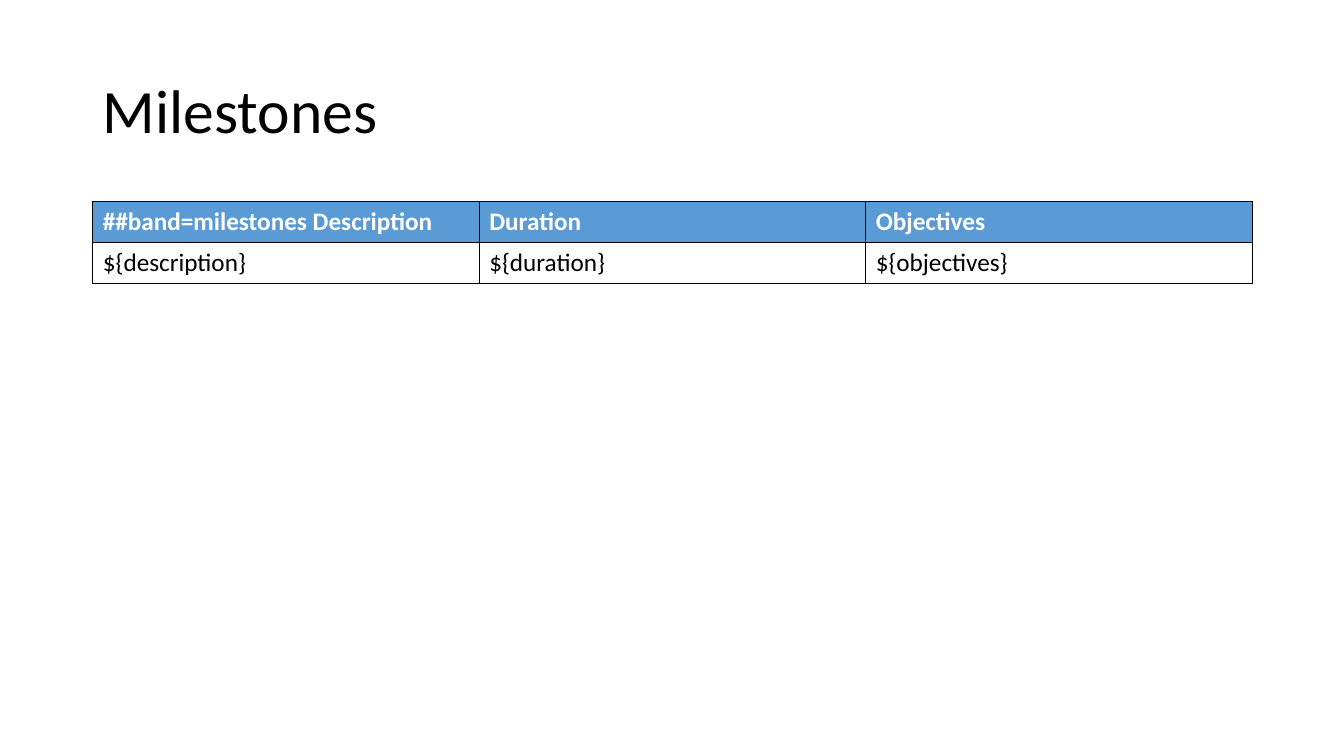
from dataclasses import dataclass

from lxml import etree
from pptx import Presentation
from pptx.dml.color import RGBColor
from pptx.enum.text import MSO_ANCHOR, PP_ALIGN
from pptx.oxml.ns import qn
from pptx.slide import Slide
from pptx.table import _Cell
from pptx.util import Inches, Pt

MIDDLE = MSO_ANCHOR.MIDDLE
LEFT = PP_ALIGN.LEFT

FONT = "Calibri"
BLACK = RGBColor(0x00, 0x00, 0x00)
WHITE = RGBColor(0xFF, 0xFF, 0xFF)
BLUE = RGBColor(0x5B, 0x9B, 0xD5)

EDGE = Inches(0.92)
WIDTH = Inches(11.5)
ROW_H = Inches(0.405)


@dataclass(frozen=True)
class Row:
    texts: tuple[str, ...]
    fill: RGBColor
    color: RGBColor
    bold: bool


ROWS = (
    Row(("##band=milestones Description", "Duration", "Objectives"), BLUE, WHITE, True),
    Row(("${description}", "${duration}", "${objectives}"), WHITE, BLACK, False),
)


def add_borders(cell: _Cell) -> None:
    """Draw a thin black line on all four sides of the cell."""
    props = cell._tc.get_or_add_tcPr()
    for i, side in enumerate(("lnL", "lnR", "lnT", "lnB")):
        line = etree.Element(qn(f"a:{side}"), w=str(Pt(1)))
        fill = etree.SubElement(line, qn("a:solidFill"))
        etree.SubElement(fill, qn("a:srgbClr"), val=str(BLACK))
        props.insert(i, line)


def fill_cell(cell: _Cell, text: str, row: Row) -> None:
    cell.text = text
    font = cell.text_frame.paragraphs[0].font
    font.name = FONT
    font.size = Pt(18)
    font.bold = row.bold
    font.color.rgb = row.color
    cell.fill.solid()
    cell.fill.fore_color.rgb = row.fill
    add_borders(cell)


def add_title(slide: Slide, text: str) -> None:
    title = slide.shapes.title
    title.left, title.top = EDGE, Inches(0.4)
    title.width, title.height = WIDTH, Inches(1.45)
    frame = title.text_frame
    frame.text = text
    frame.vertical_anchor = MIDDLE
    para = frame.paragraphs[0]
    para.alignment = LEFT
    para.line_spacing = 0.9
    para.font.name = FONT
    para.font.size = Pt(44)
    para.font.color.rgb = BLACK


def add_grid(slide: Slide, rows: tuple[Row, ...]) -> None:
    frame = slide.shapes.add_table(
        len(rows), len(rows[0].texts), EDGE, Inches(2), WIDTH, ROW_H * len(rows)
    )
    table = frame.table
    for r, row in enumerate(rows):
        for c, text in enumerate(row.texts):
            fill_cell(table.cell(r, c), text, row)


def main() -> None:
    deck = Presentation()
    deck.slide_width, deck.slide_height = Inches(13.33), Inches(7.5)
    slide = deck.slides.add_slide(deck.slide_layouts[5])
    add_title(slide, "Milestones")
    add_grid(slide, ROWS)
    deck.save("out.pptx")


if __name__ == "__main__":
    main()
